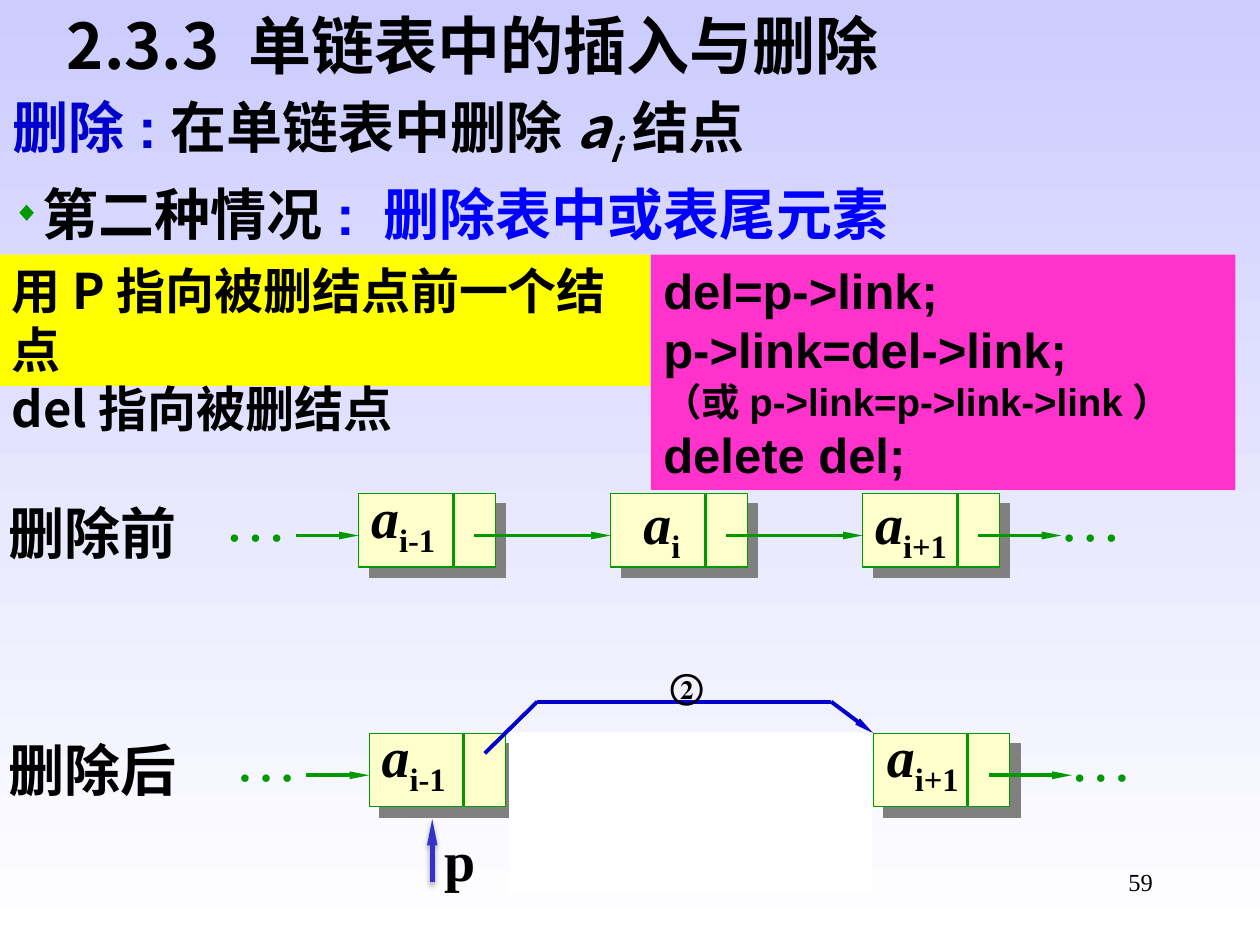
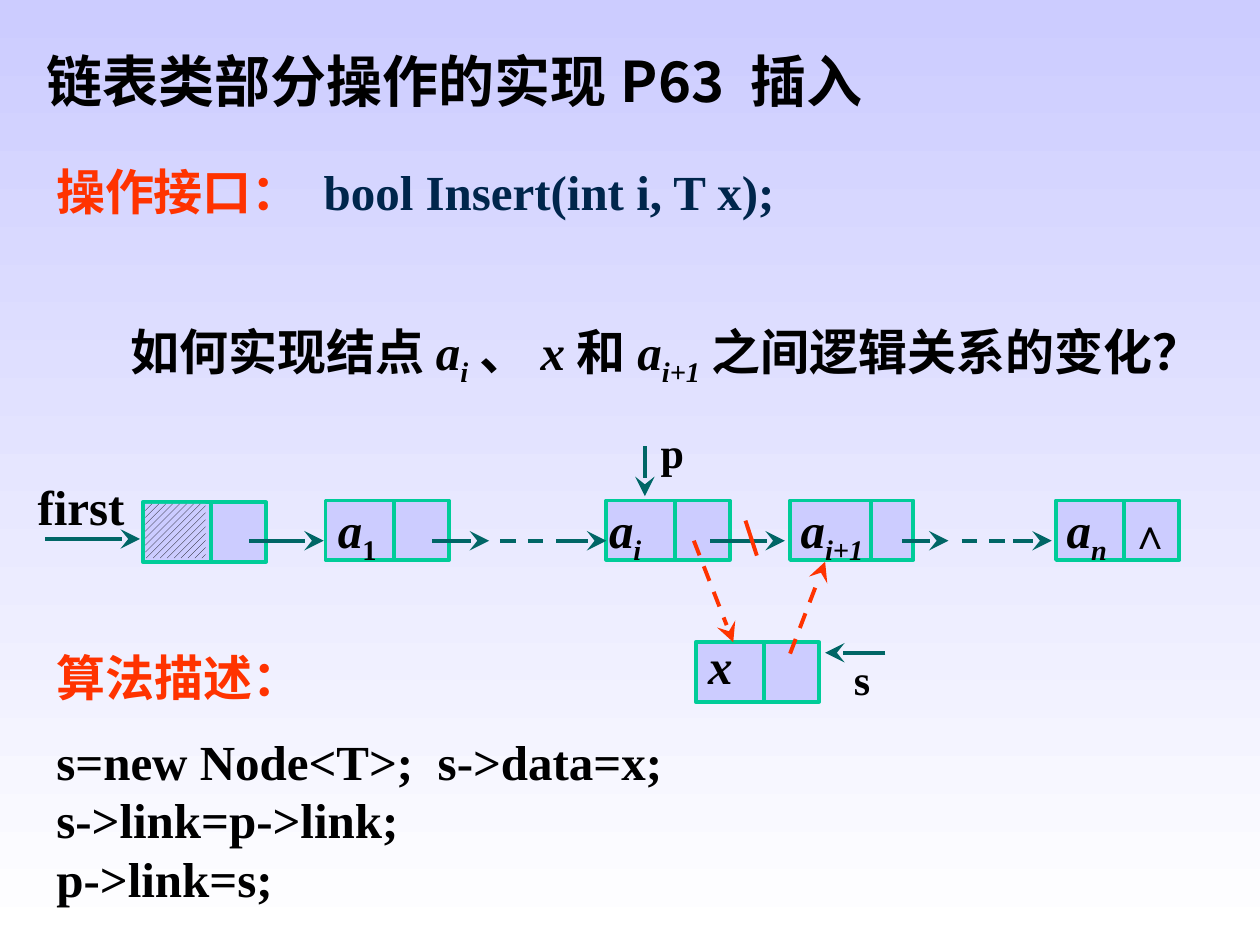
import pptx
import pptx.dml.color
import pptx.enum.dml
import pptx.enum.shapes
import pptx.enum.text
import pptx.oxml.ns
import pptx.util
from lxml import etree

Pt = pptx.util.Pt
RGB = pptx.dml.color.RGBColor
Fit = pptx.enum.text.MSO_AUTO_SIZE
Anchor = pptx.enum.text.MSO_ANCHOR
Align = pptx.enum.text.PP_ALIGN
qn = pptx.oxml.ns.qn

BLACK = RGB(0, 0, 0)
WHITE = RGB(255, 255, 255)
LILAC = RGB(0xCC, 0xCC, 0xFF)
CREAM = RGB(0xFF, 0xFF, 0xCC)
GREEN = RGB(0, 0x99, 0)
NAVY = RGB(0, 0, 0xCC)
BLUE = RGB(0, 0, 0xFF)
INDIGO = RGB(0x33, 0x33, 0xCC)
PINK = RGB(0xFF, 0x33, 0xCC)
YELLOW = RGB(0xFF, 0xFF, 0)
RED = RGB(0xFF, 0x33, 0)
TEAL = RGB(0, 0x66, 0x66)
MINT = RGB(0, 0xCC, 0x99)
INK = RGB(0, 0x26, 0x4C)
GREY = RGB(0x80, 0x80, 0x80)

HAN = "Noto Sans CJK SC"
SERIF = dict(name="Times New Roman", size=Pt(28), bold=True, color=BLACK)
LABEL = dict(SERIF, size=Pt(32))
SMALL = dict(SERIF, size=Pt(24))
DOTS = dict(SERIF, size=Pt(36), bold=False, color=GREEN)
SANS = dict(SERIF, name="Arial")
HEAD = dict(SERIF, name=HAN)
ITAL = dict(italic=True)
SUB = dict(sub=True)
BOTH = dict(italic=True, sub=True)


def add_run(para, text, style):
    run = para.add_run()
    run.text = text
    for key, value in style.items():
        if key == "color":
            run.font.color.rgb = value
        elif key == "sub":
            run.font._element.set("baseline", "-25000")
        else:
            setattr(run.font, key, value)
    face = etree.SubElement(run.font._element, qn("a:ea"))
    face.set("typeface", HAN)


def write(shape, lines, style, inset=(7.2, 3.6, 7.2, 3.6), wrap=True,
          anchor=Anchor.TOP, gaps=(), **form):
    """Fill a shape; a line is a string or a list of (text, changes) runs."""
    frame = shape.text_frame
    sides = ("margin_left", "margin_top", "margin_right", "margin_bottom")
    for side, size in zip(sides, inset):
        setattr(frame, side, Pt(size))
    frame.word_wrap = wrap
    frame.auto_size = Fit.NONE if wrap else Fit.SHAPE_TO_FIT_TEXT
    frame.vertical_anchor = anchor
    for i, line in enumerate(lines):
        para = frame.paragraphs[0] if i == 0 else frame.add_paragraph()
        look = {"alignment": Align.LEFT, "space_before": Pt(gaps[i] if gaps else 0), **form}
        for key, value in look.items():
            setattr(para, key, value)
        for text, change in ([(line, {})] if isinstance(line, str) else line):
            add_run(para, text, {**style, **change})


def place(shape, *area):
    for key, value in zip(("left", "top", "width", "height"), area):
        setattr(shape, key, Pt(value))
    return shape


def label(slide, area, lines, style, **form):
    write(slide.shapes.add_textbox(*map(Pt, area)), lines, style, **form)


def title(slide, area, text, size):
    write(place(slide.shapes.title, *area), [text], dict(HEAD, size=Pt(size)),
          anchor=Anchor.MIDDLE)


def bullet(para, mark=None, color=GREEN):
    props = para._p.get_or_add_pPr()
    step = Pt(17) if mark else 0
    props.set("marL", str(step))
    props.set("indent", str(-step))
    if not mark:
        etree.SubElement(props, qn("a:buNone"))
        return
    tint = etree.SubElement(props, qn("a:buClr"))
    etree.SubElement(tint, qn("a:srgbClr")).set("val", str(color))
    etree.SubElement(props, qn("a:buSzPct")).set("val", "50000")
    etree.SubElement(props, qn("a:buChar")).set("char", mark)


def shade(shape, color, alpha, blur, dist, angle):
    props = shape._element.spPr
    effect = props.find(qn("a:effectLst"))
    cast = etree.SubElement(effect, qn("a:outerShdw"))
    for key, value in dict(blurRad=Pt(blur), dist=Pt(dist), dir=angle * 60000).items():
        cast.set(key, str(int(value)))
    tint = etree.SubElement(cast, qn("a:srgbClr"))
    tint.set("val", str(color))
    etree.SubElement(tint, qn("a:alpha")).set("val", str(alpha * 1000))


def box(slide, area, fill, edge=None, width=0.75):
    kind = pptx.enum.shapes.MSO_SHAPE.RECTANGLE
    shape = slide.shapes.add_shape(kind, *map(Pt, area))
    shape.shadow.inherit = False
    shape.fill.solid()
    shape.fill.fore_color.rgb = fill
    if edge is None:
        shape.line.fill.background()
    else:
        shape.line.color.rgb = edge
        shape.line.width = Pt(width)
    return shape


def line(slide, ends, color, width=2.25, tip=None, broad="lg", dash=False):
    kind = pptx.enum.shapes.MSO_CONNECTOR.STRAIGHT
    link = slide.shapes.add_connector(kind, *map(Pt, ends))
    link.line.color.rgb = color
    link.line.width = Pt(width)
    if dash:
        link.line.dash_style = pptx.enum.dml.MSO_LINE.DASH
    props = link._element.spPr
    if tip:
        tail = etree.SubElement(props.find(qn("a:ln")), qn("a:tailEnd"))
        for key, value in dict(type=tip, w=broad, len="lg").items():
            tail.set(key, value)
    etree.SubElement(props, qn("a:effectLst"))
    return link


def arrow(slide, ends, color=GREEN, width=2.25):
    return line(slide, ends, color, width, "triangle", "sm")


def barb(slide, ends, color=TEAL, dash=False):
    return line(slide, ends, color, tip="stealth", dash=dash)


def chain(slide, top, nodes):
    """Draw a list; a node is left, index, label shift x and y, link length."""
    mid = top + 24
    first, last = nodes[0][0], nodes[-1][0]
    arrow(slide, (first - 36, mid, first, mid))
    for left, index, dx, dy, reach in nodes:
        shape = box(slide, (left, top, 78, 42), CREAM, GREEN)
        shade(shape, GREY, 100, 0, 8.5, 45)
        line(slide, (left + 54, top, left + 54, top + 42), GREEN, 1.5)
        if reach:
            arrow(slide, (left + 66, mid, left + 66 + reach, mid))
        width = {"i": 37, "i-1": 54, "i+1": 59}[index]
        label(slide, (left + dx, top + dy, width, 45),
              [[("a", ITAL), (index, SUB)]], LABEL, wrap=False)
    for left in (first - 84, last + 105):
        label(slide, (left, top - 12, 50, 50), ["…"], DOTS, wrap=False)


def cell(slide, left, top, runs=None, inset=6, split=39):
    """Draw one node with a data part and a link part."""
    shape = box(slide, (left, top, 70.5, 34), LILAC, MINT, 2.25)
    if runs:
        write(shape, [runs], SERIF, inset=(inset, 0, 0, 6), line_spacing=0.9)
    line(slide, (left + split, top, left + split, top + 34), MINT)


def delete(slide):
    body = place(slide.placeholders[1], 0, 49, 711, 91)
    write(body, [
        [("删除", dict(color=NAVY)), (":", dict(name="Arial", color=NAVY)),
         ("在单链表中删除", {}), ("a", ITAL), ("i", BOTH), ("结点", {})],
        [("第二种情况", dict(name="Arial")),
         (": 删除表中或表尾元素", dict(name="Arial", color=BLUE))],
    ], dict(HEAD, size=Pt(32)), gaps=(0, 6.4))
    for para, mark in zip(body.text_frame.paragraphs, (None, "◆")):
        bullet(para, mark)
    title(slide, (31, 0, 566, 51), "2.3.3 单链表中的插入与删除", 36)

    chain(slide, 282, [(205, "i-1", 0, -10, 78), (349, "i", 11.5, -6.5, 78),
                       (493, "i+1", 0, -6.5, 47.5)])
    chain(slide, 419, [(211, "i-1", 0, -10, 0), (499, "i+1", 0.7, -10, 47.5)])

    rise = arrow(slide, (247, 504, 247, 468), INDIGO, 3)
    shade(rise, BLACK, 35, 3.1, 1.8, 90)
    label(slide, (247, 468, 32, 45), ["p"], LABEL, wrap=False)

    line(slide, (277, 430.5, 307, 401), NAVY)
    line(slide, (307, 401, 475, 401), NAVY)
    arrow(slide, (475, 401, 499, 419), NAVY)
    for top, text in ((281.5, "删除前"), (417, "删除后")):
        label(slide, (-2.5, top, 112, 45), [text], LABEL, wrap=False)

    code = box(slide, (372, 145.5, 334, 134.5), PINK)
    write(code, ["del=p->link;", "p->link=del->link;",
                 [("（或p->link=p->link->link）", dict(size=Pt(22)))],
                 "delete del;"], SANS)
    label(slide, (376, 376, 35, 32), ["②"], dict(SERIF, size=Pt(20)), wrap=False)
    box(slide, (291, 418.5, 207.5, 92), WHITE)
    note = box(slide, (-0.5, 145.5, 372, 75), YELLOW)
    write(note, ["用P指向被删结点前一个结点", "del指向被删结点"], HEAD)
    label(slide, (516, 492, 150, 36), ["59"],
          dict(SERIF, size=Pt(14), bold=False), alignment=Align.RIGHT)


def insert(slide):
    title(slide, (19.5, 26, 680, 40), "链表类部分操作的实现P63 插入", 32)
    label(slide, (25, 88.5, 630, 41),
          [[("操作接口： ", dict(color=RED)),
            ("bool Insert(int i, T x);", dict(color=INK))]], SERIF)
    label(slide, (67.5, 180, 599, 41),
          [[("如何实现结点", {}), ("a", ITAL), ("i", BOTH), ("、", {}), ("x", ITAL),
            ("和", {}), ("a", ITAL), ("i+1", BOTH), ("之间逻辑关系的变化？", {})]],
          SERIF, wrap=False)

    top, mid = 286, 309
    cell(slide, 81.5, 287)
    hatch = box(slide, (83, 288, 34.5, 31), LILAC)
    hatch.fill.patterned()
    hatch.fill.pattern = pptx.enum.dml.MSO_PATTERN.WIDE_UPWARD_DIAGONAL
    hatch.fill.fore_color.rgb = BLACK
    hatch.fill.back_color.rgb = LILAC
    cell(slide, 186, top, [("a", ITAL), ("1", SUB)], 7.2)
    cell(slide, 346.5, top, [("a", ITAL), ("i", BOTH)], 1.5)
    cell(slide, 451.5, top, [("a", ITAL), ("i+1", BOTH)], split=46)
    cell(slide, 603.5, top, [("a", ITAL), ("n", BOTH)])
    cell(slide, 397.5, 367, [("x", ITAL)], 7.2)
    label(slide, (638.5, 286.5, 35.5, 36), ["∧"], SMALL, alignment=Align.CENTER)

    none = (0, 0, 0, 0)
    label(slide, (21.5, 272, 60, 37), ["first"], SERIF, inset=none)
    label(slide, (377.5, 243.5, 19.5, 29), ["p"], SMALL, inset=none)
    label(slide, (488, 373.5, 19.5, 29), ["s"], SMALL, inset=none)

    for start, end in ((142.5, 185), (247, 279.5), (318, 346.5), (406, 448.5),
                       (515.5, 542), (579, 601)):
        barb(slide, (start, mid, end, mid))
    for start, end in ((286, 310.5), (549.5, 574.5)):
        line(slide, (start, mid, end, mid), TEAL, dash=True)
    for ends in ((26, 308, 80, 308), (368.5, 255, 368.5, 283.5),
                 (506, 373, 471.5, 373)):
        barb(slide, ends)
    for ends in ((451.5, 373.5, 471.5, 321), (396.5, mid, 419, 367)):
        barb(slide, ends, RED, dash=True)
    line(slide, (426, 297.5, 432.5, 317.5), RED)

    body = place(slide.placeholders[1], 25, 366.5, 558, 158.5)
    write(body, [[("算法描述：", dict(color=RED))], "s=new Node<T>;  s->data=x;",
                 "s->link=p->link;", "p->link=s;"], SERIF, gaps=(0, 14, 0, 0))
    for para in body.text_frame.paragraphs:
        bullet(para)


def paint(master):
    """Give every slide the lilac to white backdrop."""
    fill = master.background.fill
    fill.gradient()
    fill.gradient_angle = 270
    for stop, color in zip(fill.gradient_stops, (LILAC, WHITE)):
        stop.color.rgb = color


def main():
    deck = pptx.Presentation()
    deck.slide_width, deck.slide_height = Pt(720), Pt(540)
    paint(deck.slide_master)
    for draw in (delete, insert):
        draw(deck.slides.add_slide(deck.slide_layouts[1]))
    deck.save("out.pptx")


if __name__ == "__main__":
    main()
